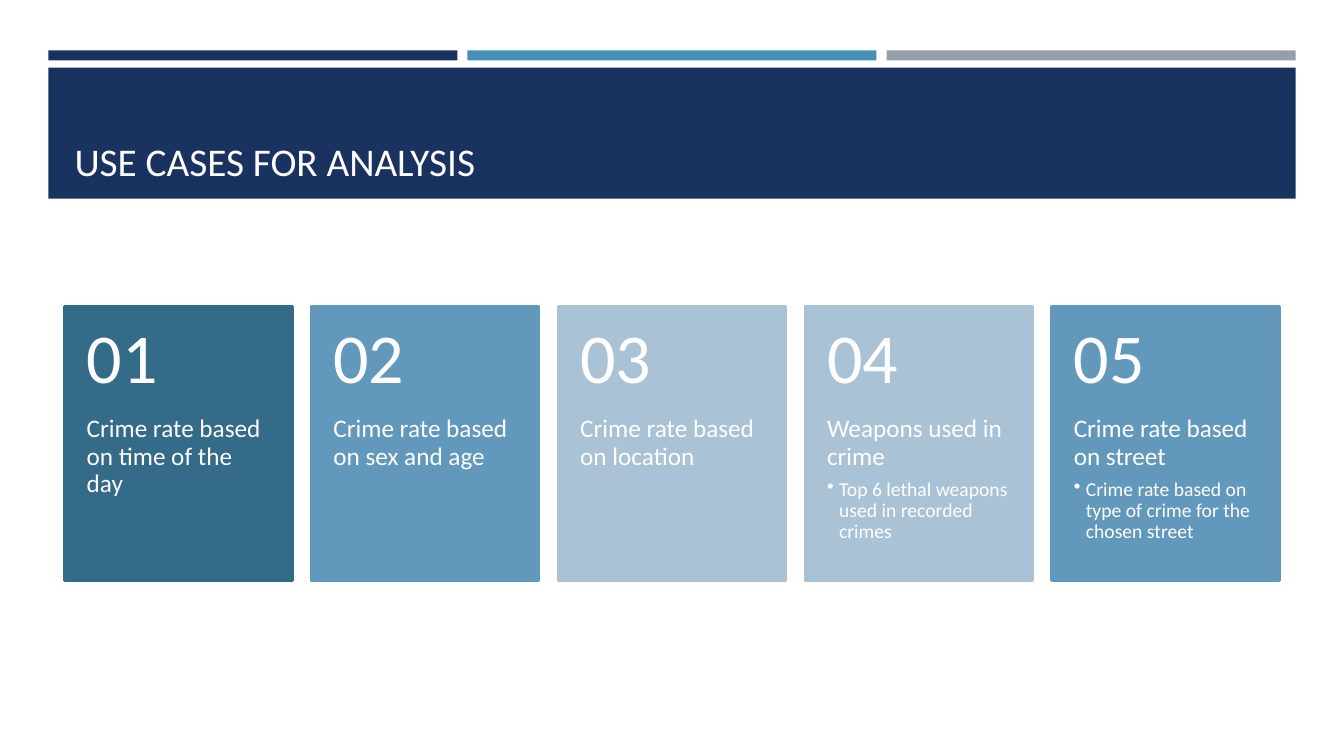
from dataclasses import dataclass

from lxml.etree import SubElement
from pptx import Presentation
from pptx.dml.color import RGBColor
from pptx.enum.shapes import MSO_SHAPE as Shape
from pptx.enum.text import MSO_ANCHOR as Anchor, MSO_AUTO_SIZE as AutoSize, PP_ALIGN as Align
from pptx.oxml.ns import qn
from pptx.util import Inches, Pt


@dataclass(frozen=True)
class Theme:
    """Colours, font and type sizes of the deck."""
    navy: str = "1A3260"
    blue: str = "4590B8"
    grey: str = "969FA7"
    teal: str = "336B88"
    mid: str = "6298BB"
    pale: str = "AAC2D5"
    white: str = "FFFFFF"
    title_ink: str = "FFFEFF"
    font: str = "Calibri"
    title: int = 28
    number: int = 50
    body: int = 18
    detail: int = 14


T = Theme()
WIDTH, HEIGHT = 13.33, 7.5
TITLE = "USE CASES FOR ANALYSIS"
CASES = [
    ("Crime rate based on time of the day", None, T.teal),
    ("Crime rate based on sex and age", None, T.mid),
    ("Crime rate based on location", None, T.pale),
    ("Weapons used in crime", "Top 6 lethal weapons used in recorded crimes", T.pale),
    ("Crime rate based on street", "Crime rate based on type of crime for the chosen street", T.mid),
]


def add_box(slide, box, fill, line=None):
    """Draw a filled rectangle, with an outline if a line width is given."""
    s = slide.shapes.add_shape(Shape.RECTANGLE, *map(Inches, box))
    s.shadow.inherit = False
    s.fill.solid()
    s.fill.fore_color.rgb = RGBColor.from_string(fill)
    if line:
        s.line.color.rgb = RGBColor.from_string(fill)
        s.line.width = Pt(line)
    else:
        s.line.fill.background()


def set_frame(tf, anchor, insets):
    """Set wrapping, anchor and insets (left, top, right, bottom) of a text frame."""
    tf.word_wrap = True
    tf.auto_size = AutoSize.NONE
    tf.vertical_anchor = anchor
    tf.margin_left, tf.margin_top, tf.margin_right, tf.margin_bottom = map(Inches, insets)


def write(p, text, size, color=T.white, spacing=0.9, after=0, bullet=False):
    """Write formatted text into a paragraph."""
    p.alignment = Align.LEFT
    p.line_spacing = spacing
    p.space_after = Pt(after)
    if bullet:
        pPr = p._p.get_or_add_pPr()
        pPr.set("marL", str(Inches(0.12)))
        pPr.set("indent", str(Inches(-0.12)))
        SubElement(pPr, qn("a:buChar"), char="•")
    r = p.add_run()
    r.text = text
    r.font.name = T.font
    r.font.size = Pt(size)
    r.font.color.rgb = RGBColor.from_string(color)


def add_text_box(slide, box, anchor, insets):
    """Add an empty text box and return its frame."""
    tf = slide.shapes.add_textbox(*map(Inches, box)).text_frame
    set_frame(tf, anchor, insets)
    return tf


def add_header(slide, box):
    """Place three accent bars above a banner that holds the title."""
    x, y, w, h = box
    gap, bar_h, banner_y = 0.1, 0.1, 0.17
    bar_w = (w - 2 * gap) / 3
    for i, color in enumerate((T.navy, T.blue, T.grey)):
        add_box(slide, (x + i * (bar_w + gap), y, bar_w, bar_h), color)
    add_box(slide, (x, y + banner_y, w, h - banner_y), T.navy)
    s = slide.shapes.title
    slide.shapes._spTree.append(s._element)
    s.left, s.top, s.width, s.height = map(Inches, (x + 0.16, y + 0.27, w - 0.31, 1.11))
    set_frame(s.text_frame, Anchor.BOTTOM, (0.1, 0.05, 0.1, 0.05))
    write(s.text_frame.paragraphs[0], TITLE, T.title, T.title_ink, spacing=1)


def add_card(slide, box, number, text, detail, color):
    """Place one numbered card with its text and optional bullet."""
    x, y, w, h = box
    split, pad = 0.4 * h, 0.22
    add_box(slide, box, color, line=1.75)
    tf = add_text_box(slide, (x, y + split, w, h - split), Anchor.TOP, (pad, 0, pad, 0.36))
    write(tf.paragraphs[0], text, T.body, after=6.3)
    if detail:
        write(tf.add_paragraph(), detail, T.detail, after=2.1, bullet=True)
    tf = add_text_box(slide, (x, y, w, split), Anchor.MIDDLE, (pad, 0.18, pad, 0.18))
    write(tf.paragraphs[0], f"{number:02d}", T.number)


def add_cards(slide, box):
    """Spread the cards evenly across the box."""
    x, y, w, h = box
    card_w = 2.26
    pitch = (w - card_w) / (len(CASES) - 1)
    for i, case in enumerate(CASES):
        add_card(slide, (x + i * pitch, y, card_w, h), i + 1, *case)


def main():
    """Build and save the deck."""
    prs = Presentation()
    prs.slide_width, prs.slide_height = Inches(WIDTH), Inches(HEIGHT)
    slide = prs.slides.add_slide(prs.slide_layouts.get_by_name("Title Only"))
    add_header(slide, (0.48, 0.5, 12.37, 1.47))
    add_cards(slide, (0.64, 3.04, 12.05, 2.72))
    prs.save("out.pptx")


if __name__ == "__main__":
    main()
